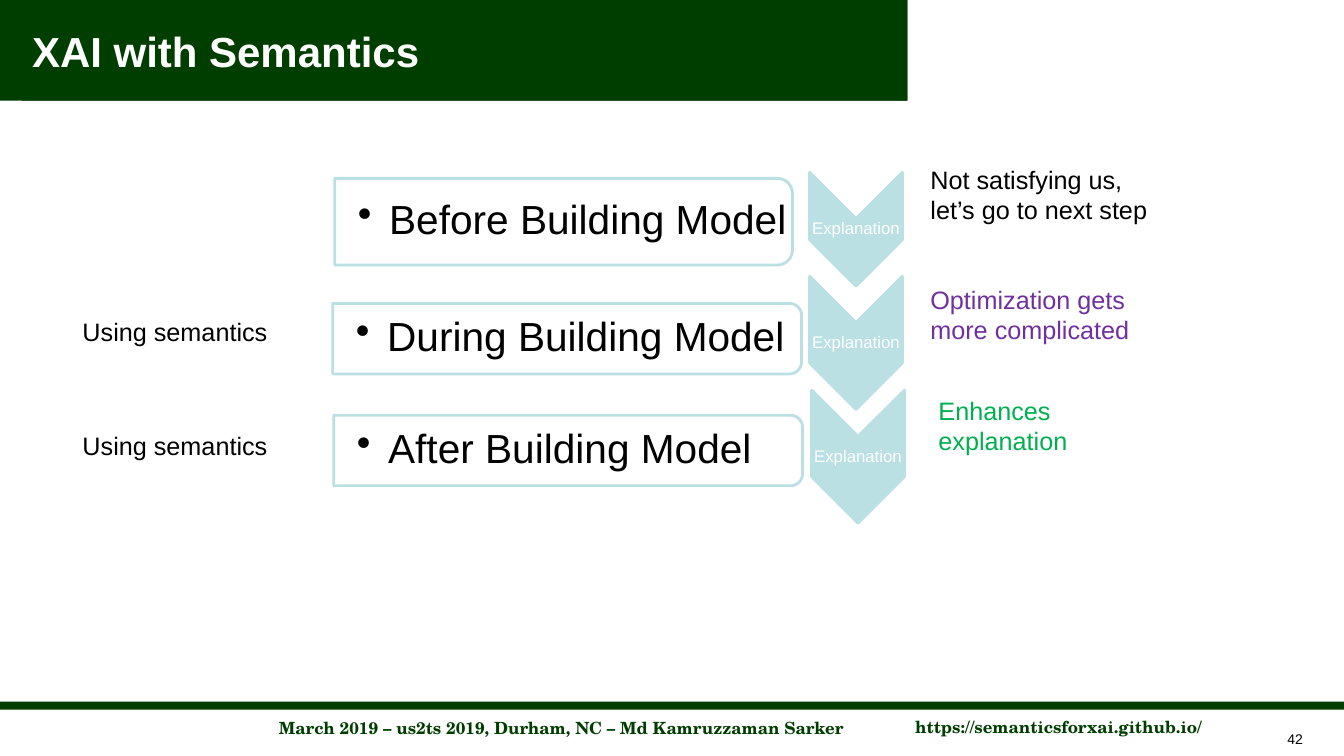
from math import cos, pi, sin

from pptx import Presentation
from pptx.dml.color import RGBColor
from pptx.enum.shapes import MSO_SHAPE
from pptx.enum.text import MSO_ANCHOR, PP_ALIGN
from pptx.oxml import parse_xml
from pptx.oxml.ns import nsdecls
from pptx.util import Inches, Pt

# Content
WIDTH, HEIGHT = 13.33, 7.5
GREEN, TEAL, WHITE, BLACK = "003E00", "BBE0E3", "FFFFFF", "000000"
TITLE = "XAI with Semantics"
PAGE_NUMBER = "42"
FOOTERS = [
    ("March 2019 – us2ts 2019, Durham, NC – Md Kamruzzaman Sarker", (1.46, 7.07, 8.22, 0.3)),
    ("https://semanticsforxai.github.io/", (8.67, 7.06, 3.66, 0.3)),
]
# Each step: label, panel box, corner radius, chevron box
STEPS = [
    ("Before Building Model", (3.32, 1.77, 4.54, 0.86), 0.15, (8.03, 1.71, 0.92, 1.13)),
    ("During Building Model", (3.3, 3.01, 4.65, 0.7), 0.12, (8.03, 2.74, 0.92, 1.32)),
    ("After Building Model", (3.31, 4.12, 4.65, 0.7), 0.12, (8.05, 3.87, 0.92, 1.32)),
]
# Each note: text, colour, box
NOTES = [
    ("Not satisfying us, let’s go to next step", BLACK, (9.13, 1.58, 2.45, 0.93)),
    ("Optimization gets more complicated", "7030A0", (9.13, 2.77, 2.63, 1.09)),
    ("Enhances explanation", "00B050", (9.21, 3.87, 2.63, 1.09)),
    ("Using semantics", BLACK, (0.72, 3.09, 3.26, 0.4)),
    ("Using semantics", BLACK, (0.72, 4.22, 3.26, 0.4)),
]

deck = Presentation()
deck.slide_width, deck.slide_height = Inches(WIDTH), Inches(HEIGHT)
page = deck.slides.add_slide(deck.slide_layouts[6])


def color(value):
    return RGBColor.from_string(value)


def write(shape, text, size=18, ink=BLACK, font="Arial", bold=False, align=PP_ALIGN.LEFT,
          anchor=MSO_ANCHOR.TOP, insets=(0.1, 0.05, 0.1, 0.05), spacing=None, indent=0):
    frame = shape.text_frame
    frame.word_wrap = True
    frame.vertical_anchor = anchor
    (frame.margin_left, frame.margin_top,
     frame.margin_right, frame.margin_bottom) = map(Inches, insets)
    para = frame.paragraphs[0]
    para.alignment = align
    if spacing:
        para.line_spacing = spacing
    if indent:
        properties = para._p.get_or_add_pPr()
        properties.set("marL", str(Inches(indent)))
        properties.set("indent", str(-Inches(indent)))
        properties.append(parse_xml(f'<a:buChar {nsdecls("a")} char="•"/>'))
    span = para.add_run()
    span.text = text
    span.font.name, span.font.size, span.font.bold = font, Pt(size), bold
    span.font.color.rgb = color(ink)


def paint(shape, fill, line=None):
    shape.shadow.inherit = False
    shape.fill.solid()
    shape.fill.fore_color.rgb = color(fill)
    if line:
        shape.line.color.rgb = color(line)
        shape.line.width = Pt(2)
    else:
        shape.line.fill.background()
    return shape


def add_bar(box, fill):
    bar = page.shapes.add_shape(MSO_SHAPE.RECTANGLE, *map(Inches, box))
    return paint(bar, fill)


def add_text(box, text, **form):
    write(page.shapes.add_textbox(*map(Inches, box)), text, **form)


def add_outline(points, fill):
    points = [(Inches(x), Inches(y)) for x, y in points]
    builder = page.shapes.build_freeform(*points[0])
    builder.add_line_segments(points[1:], close=True)
    return paint(builder.convert_to_shape(), fill, TEAL)


def chevron_points(left, top, width, height):
    notch = width / 2
    middle, right, bottom = left + notch, left + width, top + height
    return [(left, top), (middle, top + notch), (right, top),
            (right, bottom - notch), (middle, bottom), (left, bottom - notch)]


def panel_points(left, top, width, height, radius):
    """Rectangle with rounded right corners."""
    turns = [step * pi / 16 for step in range(9)]
    center = left + width - radius
    upper = [(center + radius * sin(t), top + radius * (1 - cos(t))) for t in turns]
    lower = [(x, 2 * top + height - y) for x, y in reversed(upper)]
    return [(left, top), *upper, *lower, (left, top + height)]


# Footer, rule and page number
for text, box in FOOTERS:
    write(add_bar(box, WHITE), text, size=12, ink=GREEN, font="TeX Gyre Schola",
          bold=True, align=PP_ALIGN.CENTER)
add_bar((0, 6.96, WIDTH, 0.08), GREEN)
add_text((12.67, 7.2, 0.78, 0.25), PAGE_NUMBER, size=10)

# Title band
add_bar((0, 0, 9, 1), GREEN)
write(add_bar((0.22, 0, 8.78, 1), GREEN), TITLE, size=30, ink=WHITE, bold=True,
      anchor=MSO_ANCHOR.MIDDLE)

# Steps
for label, panel_box, radius, chevron_box in STEPS:
    write(add_outline(chevron_points(*chevron_box), TEAL), "Explanation", size=12, ink=WHITE,
          align=PP_ALIGN.CENTER, anchor=MSO_ANCHOR.MIDDLE,
          insets=(0.01, 0.47, 0.01, 0.47), spacing=0.9)
    write(add_outline(panel_points(*panel_box, radius), WHITE), label, size=29,
          anchor=MSO_ANCHOR.MIDDLE, insets=(0.23, 0.05, 0.05, 0.05), spacing=0.9, indent=0.31)

# Notes beside the steps
for text, ink, box in NOTES:
    add_text(box, text, ink=ink)

deck.save("out.pptx")
